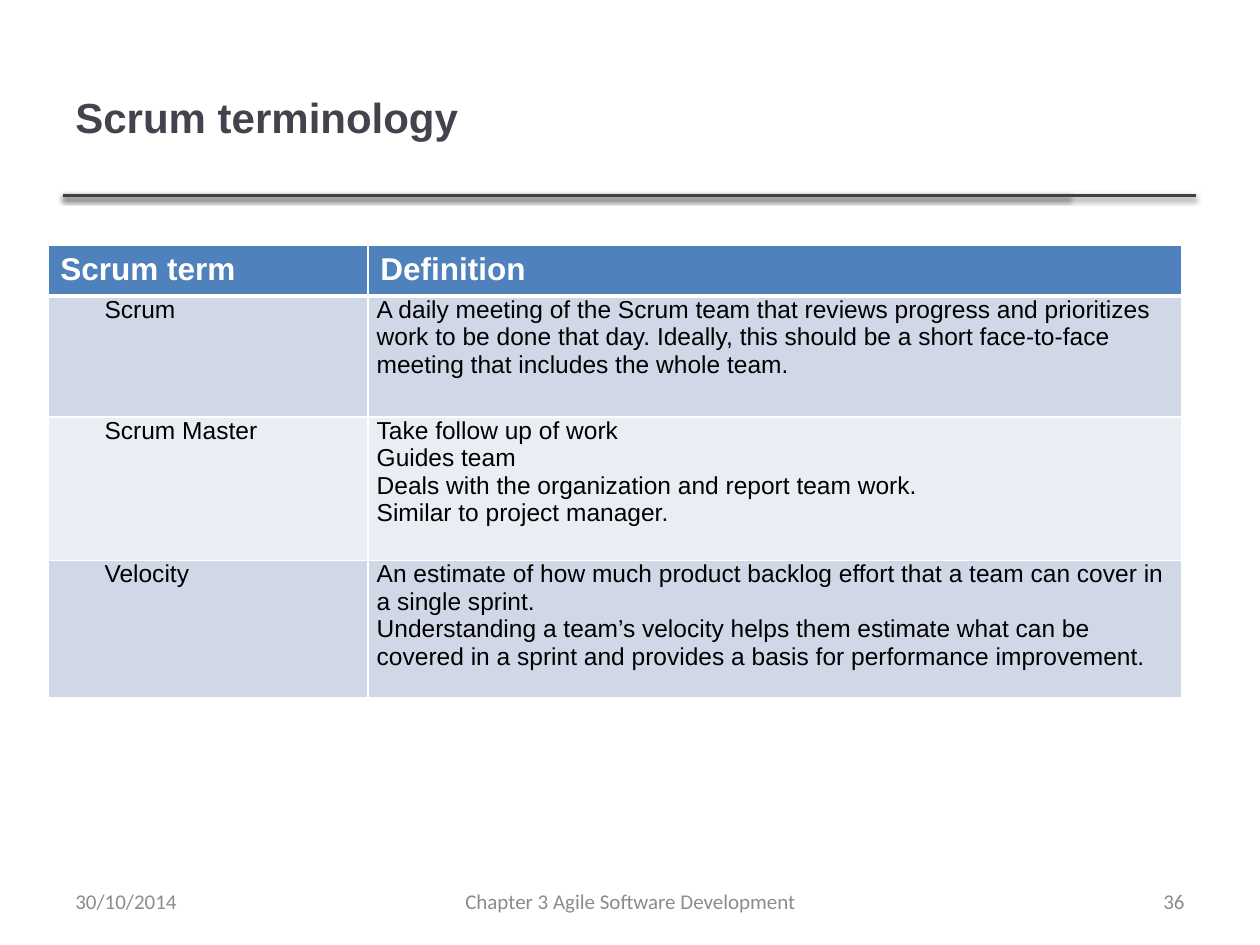
import dataclasses
import typing

import lxml.etree
import pptx
import pptx.dml.color
import pptx.enum.shapes
import pptx.enum.text
import pptx.oxml.ns
import pptx.util

Inches = pptx.util.Inches
Pt = pptx.util.Pt
Align = pptx.enum.text.PP_ALIGN
Anchor = pptx.enum.text.MSO_ANCHOR
qn = pptx.oxml.ns.qn

COLORS = {
    "title": "46424D",
    "rule": "404040",
    "head": "4F81BD",
    "dark": "D0D8E8",
    "light": "E9EDF4",
    "white": "FFFFFF",
    "black": "000000",
    "foot": "8C8C8C",
}


@dataclasses.dataclass
class Label:
    text: str
    left: float
    top: float
    width: float
    height: float
    style: dict


@dataclasses.dataclass
class Row:
    term: str
    lines: list
    height: float
    fill: str
    after: float = 0


FOOT = dict(size=12, font="Calibri", color="foot")
LABELS = [
    Label("Scrum terminology", 0.5, 0.3, 7.98, 1.25,
          dict(size=24, color="title", bold=True)),
    Label("Chapter 3 Agile Software Development", 3.42, 6.95, 3.17, 0.4,
          dict(FOOT, align=Align.CENTER)),
    Label("36", 7.17, 6.95, 2.33, 0.4, dict(FOOT, align=Align.RIGHT)),
    Label("30/10/2014", 0.5, 6.95, 2.33, 0.4, FOOT),
]
ROWS = [
    Row("Scrum term", ["Definition"], 0.4, "head"),
    Row("Scrum", [
        "A daily meeting of the Scrum team that reviews progress and "
        "prioritizes work to be done that day. Ideally, this should be a "
        "short face-to-face meeting that includes the whole team.",
    ], 0.96, "dark", 6),
    Row("Scrum Master", [
        "Take follow up of work",
        "Guides team",
        "Deals with the organization and report team work.",
        "Similar to project manager.",
    ], 1.14, "light"),
    Row("Velocity", [
        "An estimate of how much product backlog effort that a team can "
        "cover in a single sprint.",
        "Understanding a team’s velocity helps them estimate what can be "
        "covered in a sprint and provides a basis for performance "
        "improvement.",
    ], 1.09, "dark"),
]
WIDTHS = [2.54, 6.46]
RULES = [8.49, 9.49]


def tint(name: str) -> pptx.dml.color.RGBColor:
    return pptx.dml.color.RGBColor.from_string(COLORS[name])


def write(frame: typing.Any, lines: list, *, size: float,
          font: str = "Arial", color: str = "black", bold: bool = False,
          align: typing.Any = Align.LEFT, after: float = 0,
          indent: float = 0) -> None:
    frame.word_wrap = True
    for i, line in enumerate(lines):
        para = frame.paragraphs[0] if i == 0 else frame.add_paragraph()
        para.alignment = align
        para.space_after = Pt(after)
        if indent:
            para._p.get_or_add_pPr().set("indent", str(Inches(indent)))
        run = para.add_run()
        run.text = line
        run.font.size = Pt(size)
        run.font.name = font
        run.font.bold = bold
        run.font.color.rgb = tint(color)


def add_label(slide: typing.Any, label: Label) -> None:
    box = slide.shapes.add_textbox(
        Inches(label.left), Inches(label.top),
        Inches(label.width), Inches(label.height))
    box.text_frame.vertical_anchor = Anchor.MIDDLE
    write(box.text_frame, [label.text], **label.style)


def add_rule(slide: typing.Any, end: float) -> None:
    rule = slide.shapes.add_connector(
        pptx.enum.shapes.MSO_CONNECTOR.STRAIGHT,
        Inches(0.5), Inches(1.55), Inches(end), Inches(1.55))
    rule.line.color.rgb = tint("rule")
    rule.line.width = Pt(2)
    sub = lxml.etree.SubElement
    effect = sub(rule._element.spPr, qn("a:effectLst"))
    shade = sub(effect, qn("a:outerShdw"), blurRad=str(Pt(3.1)),
                dist=str(Pt(1.6)), dir="5400000", rotWithShape="0")
    tone = sub(shade, qn("a:srgbClr"), val=COLORS["black"])
    sub(tone, qn("a:alpha"), val="38000")


def add_edges(cell: typing.Any, top: float, bottom: float) -> None:
    sub = lxml.etree.SubElement
    props = cell._tc.get_or_add_tcPr()
    for side, width in zip("LRTB", (1, 1, top, bottom)):
        edge = sub(props, qn(f"a:ln{side}"), w=str(Pt(width)))
        fill = sub(edge, qn("a:solidFill"))
        sub(fill, qn("a:srgbClr"), val=COLORS["white"])


def add_grid(slide: typing.Any, rows: list) -> None:
    table = slide.shapes.add_table(
        len(rows), len(WIDTHS), Inches(0.38), Inches(1.95),
        Inches(sum(WIDTHS)), Inches(sum(row.height for row in rows))).table
    for col, width in zip(table.columns, WIDTHS):
        col.width = Inches(width)
    for i, row in enumerate(rows):
        table.rows[i].height = Inches(row.height)
        head = i == 0
        for j, lines in enumerate(([row.term], row.lines)):
            cell = table.cell(i, j)
            add_edges(cell, 3 if i == 1 else 1, 3 if head else 1)
            cell.fill.solid()
            cell.fill.fore_color.rgb = tint(row.fill)
            if head:
                style = dict(size=18, color="white", bold=True)
            else:
                cell.margin_left = cell.margin_right = Inches(0.07)
                cell.margin_top = cell.margin_bottom = Inches(0)
                style = dict(size=14, after=row.after,
                             indent=0.38 if j == 0 else 0)
            write(cell.text_frame, lines, **style)


def main() -> None:
    deck = pptx.Presentation()
    deck.slide_width = Inches(10)
    deck.slide_height = Inches(7.5)
    slide = deck.slides.add_slide(deck.slide_layouts[6])
    for end in RULES:
        add_rule(slide, end)
    add_grid(slide, ROWS)
    for label in LABELS:
        add_label(slide, label)
    deck.save("out.pptx")


if __name__ == "__main__":
    main()
